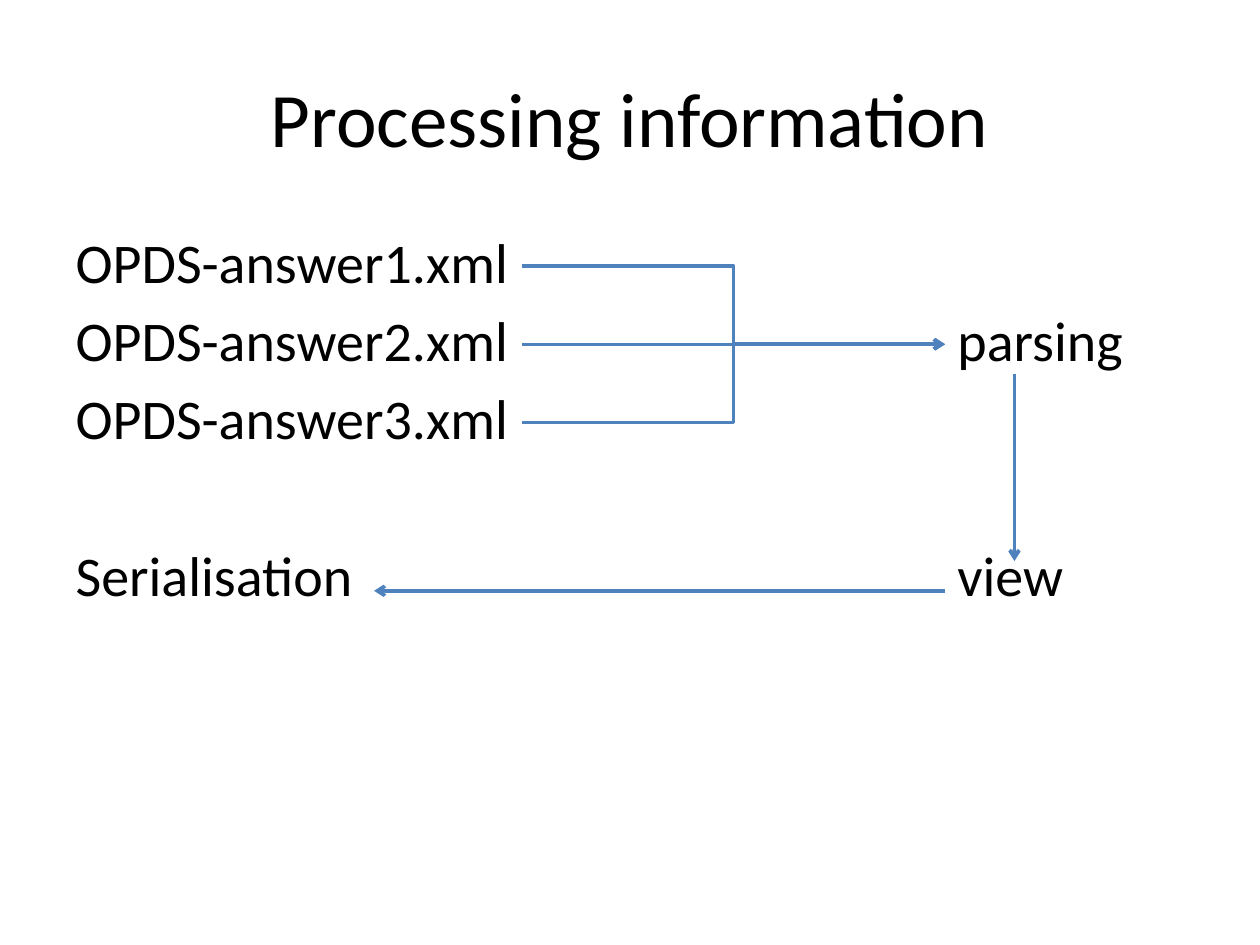
from dataclasses import dataclass

import lxml.etree
import pptx
import pptx.dml.color
import pptx.enum.shapes
import pptx.enum.text
import pptx.oxml.ns
import pptx.util
from pptx.util import Cm

qn = pptx.oxml.ns.qn


@dataclass(frozen=True)
class Theme:
    font: str = "Calibri"
    text: pptx.dml.color.RGBColor = pptx.dml.color.RGBColor(0, 0, 0)
    arrow: pptx.dml.color.RGBColor = pptx.dml.color.RGBColor(0x4F, 0x81, 0xBD)
    title_size: float = 44
    body_size: float = 32
    arrow_width: float = 2
    row_gap: float = 6.4
    section_gap: float = 51.3


@dataclass(frozen=True)
class Row:
    text: str
    gap: float = Theme.row_gap


@dataclass(frozen=True)
class Step:
    """Label in the right column, on a line of the list."""
    text: str
    line: int


@dataclass(frozen=True)
class Arrow:
    """Start and end points in centimetres."""
    x1: float
    y1: float
    x2: float
    y2: float


THEME = Theme()
BODY_TOP, ROW_PITCH = 4.45, 1.58
FILES_X, STEPS_X = 10.52, 19.05
PARSING_Y = 6.94

ROWS = [
    Row("OPDS-answer1.xml"),
    Row("OPDS-answer2.xml"),
    Row("OPDS-answer3.xml"),
    Row("Serialisation", THEME.section_gap),
]
STEPS = [Step("parsing", 1), Step("view", 4)]

# The three answers merge on the height of "parsing"
ARROWS = [
    Arrow(FILES_X, PARSING_Y + step * ROW_PITCH, STEPS_X, PARSING_Y)
    for step in (-1, 0, 1)
] + [
    Arrow(20.45, 7.54, 20.45, 11.31),      # parsing to view
    Arrow(STEPS_X, 11.91, 7.54, 11.91),    # view to serialisation
]


def place(box, left: float, top: float, width: float, height: float) -> None:
    box.left, box.top, box.width, box.height = map(Cm, (left, top, width, height))


def add_run(para, text: str, size: float) -> None:
    span = para.add_run()
    span.text = text
    span.font.name = THEME.font
    span.font.size = pptx.util.Pt(size)
    span.font.color.rgb = THEME.text


def add_row(para, row: Row) -> None:
    para.space_before = pptx.util.Pt(row.gap)
    # Plain line without bullet
    properties = para._p.get_or_add_pPr()
    properties.set("marL", "0")
    properties.set("indent", "0")
    lxml.etree.SubElement(properties, qn("a:buNone"))
    add_run(para, row.text, THEME.body_size)


def add_step(page, step: Step) -> None:
    top = BODY_TOP + step.line * ROW_PITCH
    box = page.shapes.add_textbox(Cm(STEPS_X), Cm(top), Cm(5.08), Cm(ROW_PITCH))
    box.text_frame.word_wrap = True
    add_run(box.text_frame.paragraphs[0], step.text, THEME.body_size)


def add_arrow(page, arrow: Arrow) -> None:
    kinds = pptx.enum.shapes.MSO_CONNECTOR
    straight = arrow.x1 == arrow.x2 or arrow.y1 == arrow.y2
    line = page.shapes.add_connector(
        kinds.STRAIGHT if straight else kinds.ELBOW,
        Cm(arrow.x1), Cm(arrow.y1), Cm(arrow.x2), Cm(arrow.y2))
    line.line.color.rgb = THEME.arrow
    line.line.width = pptx.util.Pt(THEME.arrow_width)
    properties = line._element.spPr
    lxml.etree.SubElement(properties.find(qn("a:ln")), qn("a:tailEnd"), type="arrow")
    lxml.etree.SubElement(properties, qn("a:effectLst"))


def main() -> None:
    deck = pptx.Presentation()
    deck.slide_width, deck.slide_height = Cm(25.4), Cm(19.05)
    page = deck.slides.add_slide(deck.slide_layouts[1])

    # Title
    title = page.shapes.title
    place(title, 1.27, 0.76, 22.86, 3.18)
    heading = title.text_frame.paragraphs[0]
    heading.alignment = pptx.enum.text.PP_ALIGN.CENTER
    add_run(heading, "Processing information", THEME.title_size)

    # Files and final output on the left
    body = page.placeholders[1]
    place(body, 1.27, BODY_TOP, 22.86, 12.57)
    frame = body.text_frame
    for index, row in enumerate(ROWS):
        add_row(frame.add_paragraph() if index else frame.paragraphs[0], row)

    # Processing steps on the right
    for step in STEPS:
        add_step(page, step)

    # Flow between them
    for arrow in ARROWS:
        add_arrow(page, arrow)

    deck.save("out.pptx")


if __name__ == "__main__":
    main()
